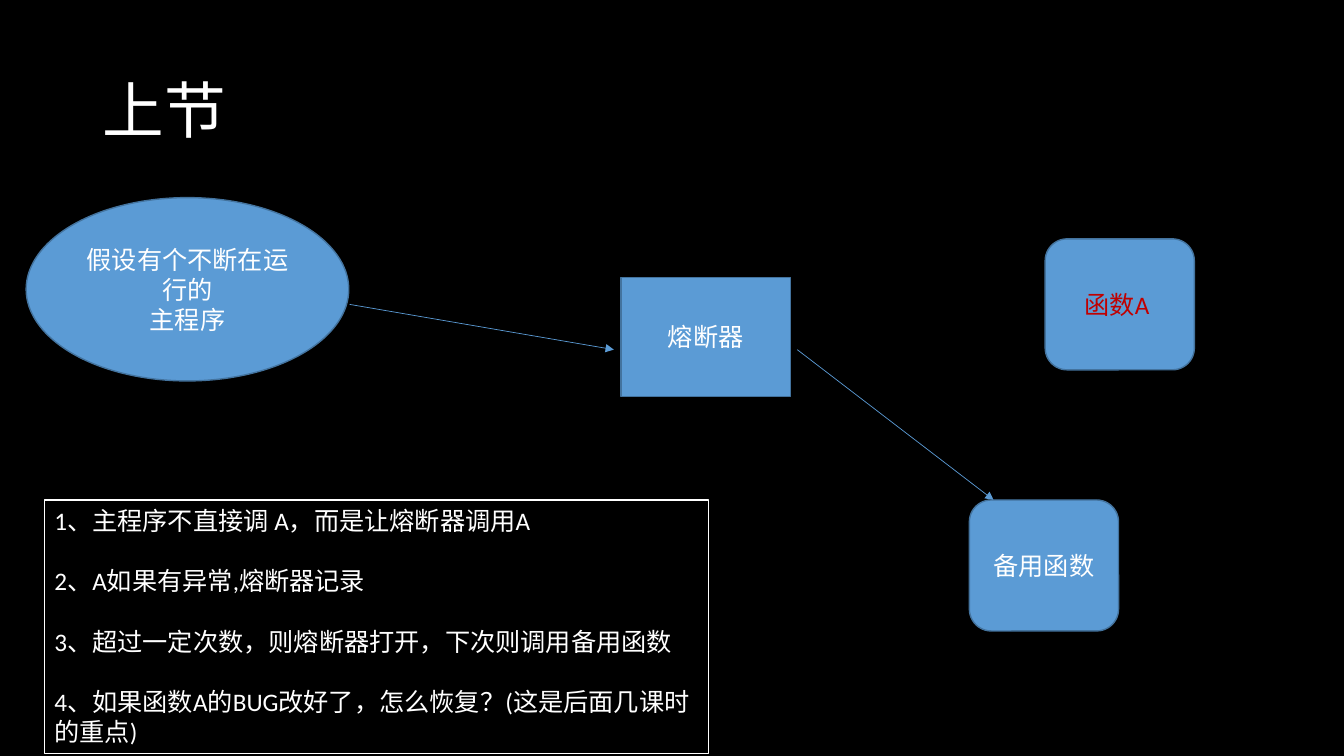
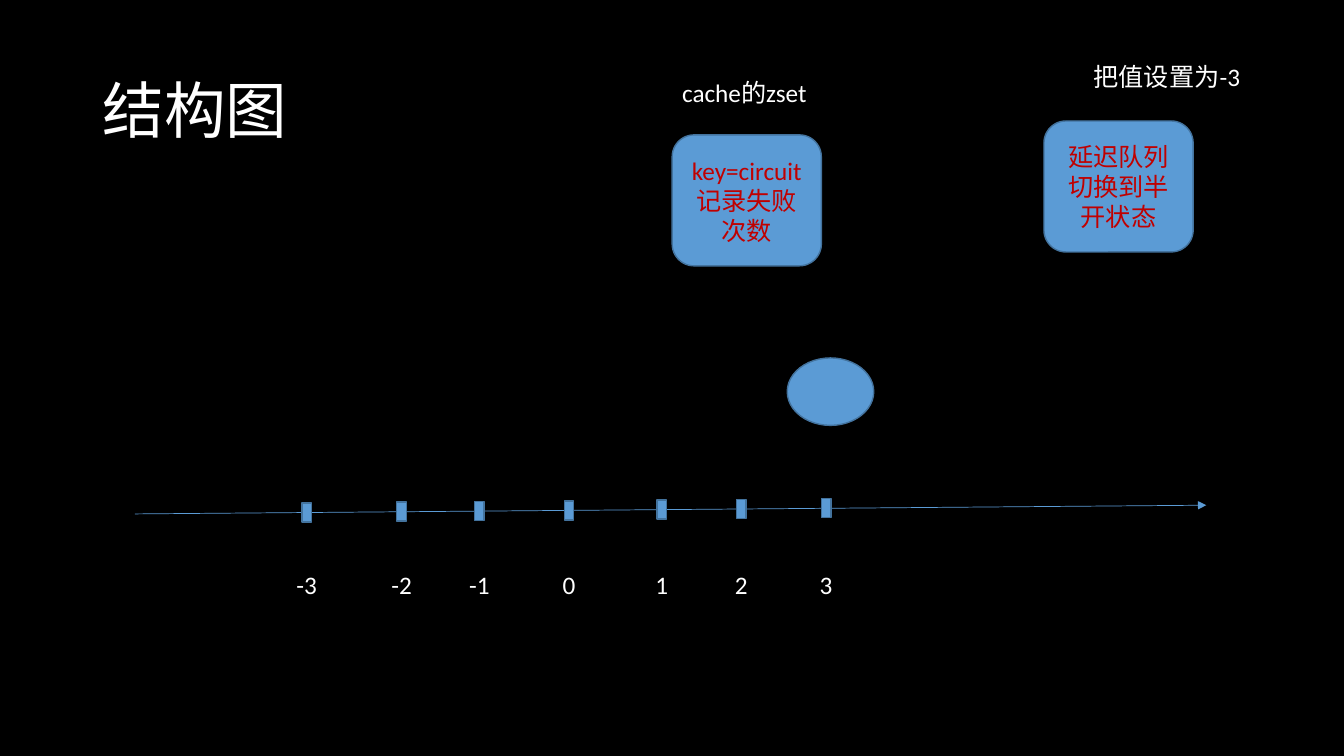
"""Builds two slides that explain a circuit breaker."""
from lxml.etree import SubElement
from pptx import Presentation
from pptx.dml.color import RGBColor
from pptx.enum.lang import MSO_LANGUAGE_ID as Language
from pptx.enum.shapes import MSO_CONNECTOR as Connector, MSO_SHAPE as Shape
from pptx.enum.text import MSO_ANCHOR as Anchor, PP_ALIGN as Align
from pptx.oxml.ns import qn
from pptx.util import Cm, Pt

BLACK = RGBColor(0x00, 0x00, 0x00)
WHITE = RGBColor(0xFF, 0xFF, 0xFF)
BLUE = RGBColor(0x5B, 0x9B, 0xD5)
DARK_BLUE = RGBColor(0x43, 0x73, 0x9E)
RED = RGBColor(0xC0, 0x00, 0x00)
NODE_SIZE = (3.76, 3.3)


def write_text(frame, text, *, size=18, color=WHITE, align=Align.LEFT,
               anchor=Anchor.TOP, line_spacing=1.0, gap=0):
    """Fills a text frame with one paragraph for each line of text."""
    frame.word_wrap = True
    frame.vertical_anchor = anchor
    for index, line in enumerate(text.split("\n")):
        paragraph = frame.add_paragraph() if index else frame.paragraphs[0]
        paragraph.alignment = align
        paragraph.line_spacing = line_spacing
        paragraph.space_before = Pt(gap if index else 0)
        run = paragraph.add_run()
        run.text = line
        run.font.name = "Calibri"
        run.font.size = Pt(size)
        run.font.color.rgb = color
        run.font.language_id = Language.SIMPLIFIED_CHINESE


class Deck:
    """Holds the presentation, its style and the current slide."""

    def __init__(self):
        """Starts an empty widescreen presentation."""
        self.presentation = Presentation()
        self.presentation.slide_width = Cm(33.87)
        self.presentation.slide_height = Cm(19.05)
        self.slide = None

    def add_slide(self, title):
        """Adds a black slide with a title."""
        layout = self.presentation.slide_layouts[6]
        self.slide = self.presentation.slides.add_slide(layout)
        background = self.slide.background.fill
        background.solid()
        background.fore_color.rgb = BLACK
        self.label(title, 2.34, 1.02, 29.21, 3.68, size=44,
                   anchor=Anchor.MIDDLE, line_spacing=0.9)

    def label(self, text, left, top, width, height=1.02, **text_format):
        """Adds a text box."""
        box = self.slide.shapes.add_textbox(
            Cm(left), Cm(top), Cm(width), Cm(height))
        write_text(box.text_frame, text, **text_format)
        return box

    def framed_list(self, lines, left, top, width, height):
        """Adds a list of spaced lines inside a thin white frame."""
        box = self.label("\n".join(lines), left, top, width, height, gap=21.6)
        box.line.color.rgb = WHITE
        box.line.width = Pt(0.75)

    def node(self, kind, left, top, width, height, text="", color=WHITE):
        """Adds a blue shape with optional centred text."""
        shape = self.slide.shapes.add_shape(
            kind, Cm(left), Cm(top), Cm(width), Cm(height))
        shape.shadow.inherit = False
        shape.fill.solid()
        shape.fill.fore_color.rgb = BLUE
        shape.line.color.rgb = DARK_BLUE
        shape.line.width = Pt(1)
        if text:
            write_text(shape.text_frame, text, color=color,
                       align=Align.CENTER, anchor=Anchor.MIDDLE)

    def arrow(self, start, end):
        """Adds a thin arrow between two points."""
        connector = self.slide.shapes.add_connector(
            Connector.STRAIGHT, *map(Cm, start + end))
        connector.line.color.rgb = BLUE
        connector.line.width = Pt(0.5)
        properties = connector._element.spPr
        SubElement(properties.find(qn("a:ln")), qn("a:tailEnd"),
                   type="triangle")
        SubElement(properties, qn("a:effectLst"))


def build_overview(deck):
    """Builds the slide on how the breaker sits between the functions."""
    deck.add_slide("上节")
    deck.node(Shape.OVAL, 0.66, 4.98, 8.13, 4.62,
              "假设有个不断在运行的\n主程序")
    deck.node(Shape.ROUNDED_RECTANGLE, 26.34, 6.02, *NODE_SIZE,
              "函数A ", RED)
    deck.framed_list([
        "1、主程序不直接调 A，而是让熔断器调用A",
        "2、A如果有异常,熔断器记录",
        "3、超过一定次数，则熔断器打开，下次则调用备用函数",
        "4、如果函数A的BUG改好了，怎么恢复？(这是后面几课时的重点)",
    ], 1.12, 12.6, 16.74, 6.4)
    deck.node(Shape.RECTANGLE, 15.65, 6.99, 4.27, 3, "熔断器")
    deck.arrow((8.81, 7.67), (15.47, 8.81))
    deck.arrow((20.09, 8.81), (25.04, 12.6))
    deck.node(Shape.ROUNDED_RECTANGLE, 24.43, 12.6, *NODE_SIZE, "备用函数")


def build_structure(deck):
    """Builds the slide with the failure counter and its number line."""
    deck.add_slide("结构图")
    deck.node(Shape.ROUNDED_RECTANGLE, 16.94, 3.4, *NODE_SIZE,
              "key=circuit\n记录失败次数", RED)
    deck.label("cache的zset", 16.94, 1.83, 4.8)
    deck.node(Shape.ROUNDED_RECTANGLE, 26.31, 3.05, *NODE_SIZE,
              "延迟队列\n切换到半开状态", RED)
    deck.label("把值设置为-3", 27.31, 1.42, 5.56)

    axis_start, axis_end = (3.4, 12.95), (30.4, 12.73)
    deck.arrow(axis_start, axis_end)
    slope = (axis_end[1] - axis_start[1]) / (axis_end[0] - axis_start[0])
    tick_width, tick_height, label_width = 0.24, 0.48, 1.2
    tick_centers = (7.73, 10.12, 12.08, 14.34, 16.68, 18.68, 20.82)
    for value, center in enumerate(tick_centers, start=-3):
        axis_top = axis_start[1] + slope * (center - axis_start[0])
        deck.node(Shape.RECTANGLE, center - tick_width / 2,
                  axis_top - tick_height / 2, tick_width, tick_height)
        deck.label(str(value), center - label_width / 2, 14.21, label_width,
                   align=Align.CENTER)
    deck.node(Shape.OVAL, 19.84, 9.02, 2.18, 1.7)


def main():
    """Builds and saves the presentation."""
    deck = Deck()
    build_overview(deck)
    build_structure(deck)
    deck.presentation.save("out.pptx")


if __name__ == "__main__":
    main()
